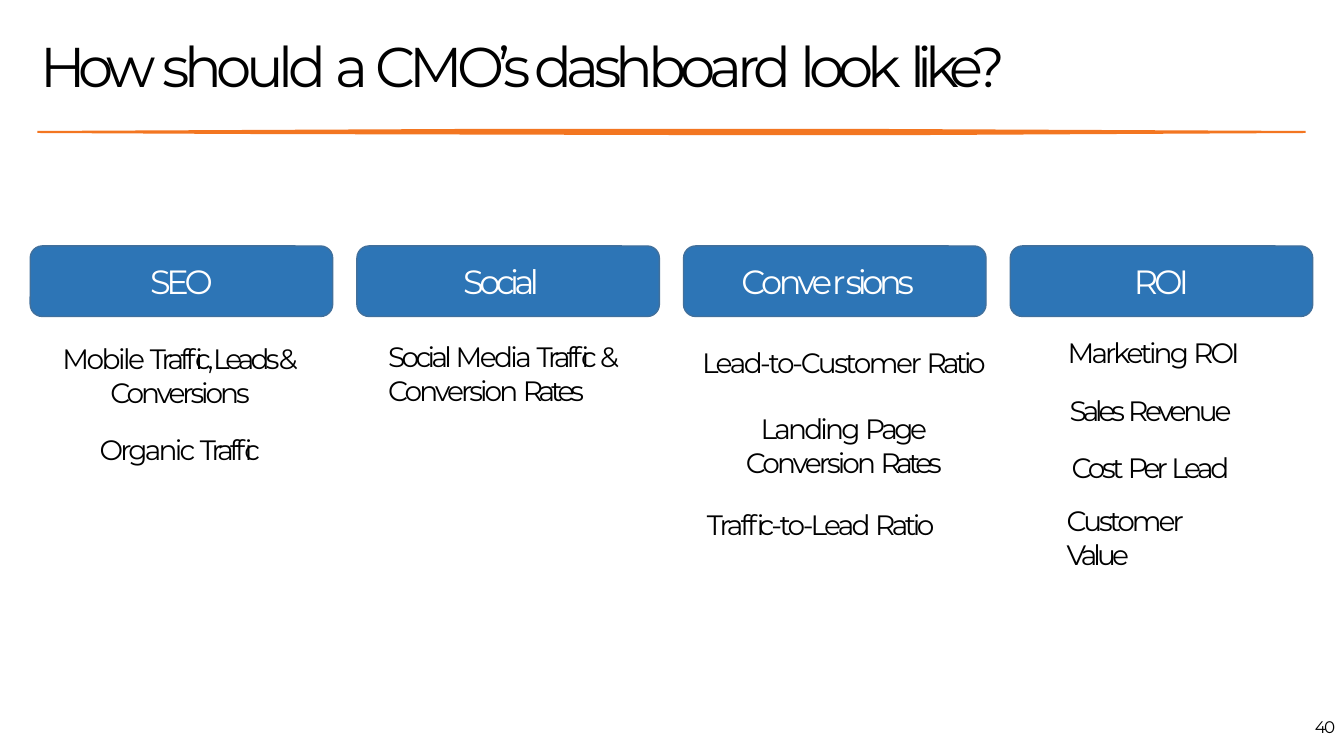
from dataclasses import dataclass

from pptx import Presentation
from pptx.dml.color import RGBColor
from pptx.enum.shapes import MSO_SHAPE
from pptx.enum.text import MSO_ANCHOR, PP_ALIGN
from pptx.util import Inches, Pt

LEFT, CENTER = PP_ALIGN.LEFT, PP_ALIGN.CENTER
MIDDLE = MSO_ANCHOR.MIDDLE
ROUNDED = MSO_SHAPE.ROUNDED_RECTANGLE
BREAK = ("\n", 0)


@dataclass(frozen=True)
class Theme:
    font: str = "Montserrat"
    ink: RGBColor = RGBColor(0x00, 0x00, 0x00)
    heading_ink: RGBColor = RGBColor(0xFF, 0xFF, 0xFF)
    heading_fill: RGBColor = RGBColor(0x2D, 0x75, 0xB6)
    heading_line: RGBColor = RGBColor(0x41, 0x70, 0x9C)
    accent: RGBColor = RGBColor(0xF3, 0x76, 0x21)
    title_size: int = 40
    heading_size: int = 24
    metric_size: int = 20
    number_size: int = 12


@dataclass(frozen=True)
class Metric:
    runs: list
    before: float = 0
    indent: float = 0
    align: PP_ALIGN = LEFT


@dataclass(frozen=True)
class Column:
    heading: list
    box: tuple
    metrics: list
    right_inset: float = 0


THEME = Theme()

TITLE = [("How ", -5), ("should ", -4), ("a ", -5.4), ("CMO’s dashboard ", -4),
         ("look ", -4.2), ("like?", -5.5)]

COLUMNS = [
    Column([("SEO", -3)], (0.36, 3.39, 2.85, 1.26), [
        Metric([("Mobile ", -1.8), ("Traffic, Leads &", -2.8), BREAK,
                ("Conversions", -2.2)], align=CENTER),
        Metric([("Organic ", -2), ("Traffic", -2.9)], 17.1, align=CENTER),
    ]),
    Column([("Social", -3.2)], (3.83, 3.37, 2.6, 0.69), [
        Metric([("Social ", -2.6), ("Media ", -1.9), ("Traffic ", -2.9), ("&", -2.8),
                BREAK, ("Conversion ", -2.1), ("Rates", -3)], indent=0.02),
    ], 0.14),
    Column([("Conve", -2.5), ("r", -1.4), ("sions", -3.1)], (6.84, 3.43, 3.06, 2), [
        Metric([("Lead-to-Customer ", -1.8), ("Ratio", -2.5)], align=CENTER),
        Metric([("Landing ", -2), ("Page", -2.5), BREAK,
                ("Conversion ", -2.1), ("Rates", -3)], 23.2, align=CENTER),
        Metric([("Traffic-to-Lead ", -2), ("Ratio", -2.5)], 20, 0.17),
    ], 0.14),
    Column([("ROI", -2.7)], (10.57, 3.33, 2, 2.02), [
        Metric([("Marketing ", -2.1), ("ROI", -2.2)], indent=0.02),
        Metric([("Sales ", -3), ("Revenue", -2.4)], 17, 0.04),
        Metric([("Cost ", -2.4), ("Per ", -2.8), ("Lead", -2.5)], 16.7, 0.06),
        Metric([("Customer", -2.2), BREAK, ("Value", -2.8)], 14.1, 0.01),
    ]),
]

HEADING_LEFT, HEADING_TOP = 0.3, 2.44
HEADING_WIDTH, HEADING_HEIGHT = 3, 0.7
HEADING_PITCH = 3.24
CORNER_RADIUS = 0.12

RULE_POINTS = [(8.77, 1.28), (4.56, 1.28), (0.37, 1.3), (0.37, 1.32), (2.39, 1.33),
               (6.67, 1.34), (9.21, 1.34), (12.95, 1.32), (12.95, 1.3)]


def clear_insets(frame):
    frame.margin_left = frame.margin_right = Inches(0)
    frame.margin_top = frame.margin_bottom = Inches(0)
    frame.word_wrap = True


def write_tracked(paragraph, runs, size, color):
    paragraph.font.name = THEME.font
    paragraph.font.size = Pt(size)
    paragraph.font.color.rgb = color
    for text, tracking in runs:
        if text == "\n":
            paragraph.add_line_break()
            continue
        run = paragraph.add_run()
        run.text = text
        run._r.get_or_add_rPr().set("spc", str(round(tracking * 100)))


def add_text(slide, box, metrics, size):
    frame = slide.shapes.add_textbox(*map(Inches, box)).text_frame
    clear_insets(frame)
    for index, metric in enumerate(metrics):
        paragraph = frame.add_paragraph() if index else frame.paragraphs[0]
        paragraph.alignment = metric.align
        paragraph.space_before = Pt(metric.before)
        if metric.indent:
            paragraph._p.get_or_add_pPr().set("marL", str(Inches(metric.indent)))
        write_tracked(paragraph, metric.runs, size, THEME.ink)


def add_rule(slide):
    start, *rest = [(Inches(x), Inches(y)) for x, y in RULE_POINTS]
    builder = slide.shapes.build_freeform(*start)
    builder.add_line_segments(rest, close=True)
    rule = builder.convert_to_shape()
    rule.shadow.inherit = False
    rule.fill.solid()
    rule.fill.fore_color.rgb = THEME.accent
    rule.line.fill.background()


def add_heading(slide, left, column):
    heading = slide.shapes.add_shape(
        ROUNDED, Inches(left), Inches(HEADING_TOP),
        Inches(HEADING_WIDTH), Inches(HEADING_HEIGHT))
    heading.adjustments[0] = CORNER_RADIUS / HEADING_HEIGHT
    heading.shadow.inherit = False
    heading.fill.solid()
    heading.fill.fore_color.rgb = THEME.heading_fill
    heading.line.color.rgb = THEME.heading_line
    heading.line.width = Pt(0.96)
    frame = heading.text_frame
    clear_insets(frame)
    frame.margin_right = Inches(column.right_inset)
    frame.vertical_anchor = MIDDLE
    label = frame.paragraphs[0]
    label.alignment = CENTER
    write_tracked(label, column.heading, THEME.heading_size, THEME.heading_ink)


def main():
    deck = Presentation()
    deck.slide_width, deck.slide_height = Inches(13.33), Inches(7.5)
    slide = deck.slides.add_slide(deck.slide_layouts[6])
    add_rule(slide)
    add_text(slide, (0.39, 0.31, 10.59, 0.68), [Metric(TITLE, indent=0.01)],
             THEME.title_size)
    for index, column in enumerate(COLUMNS):
        add_heading(slide, HEADING_LEFT + index * HEADING_PITCH, column)
        add_text(slide, column.box, column.metrics, THEME.metric_size)
    add_text(slide, (13.04, 7.11, 0.28, 0.22), [Metric([("40", -1.2)])],
             THEME.number_size)
    deck.save("out.pptx")


if __name__ == "__main__":
    main()
